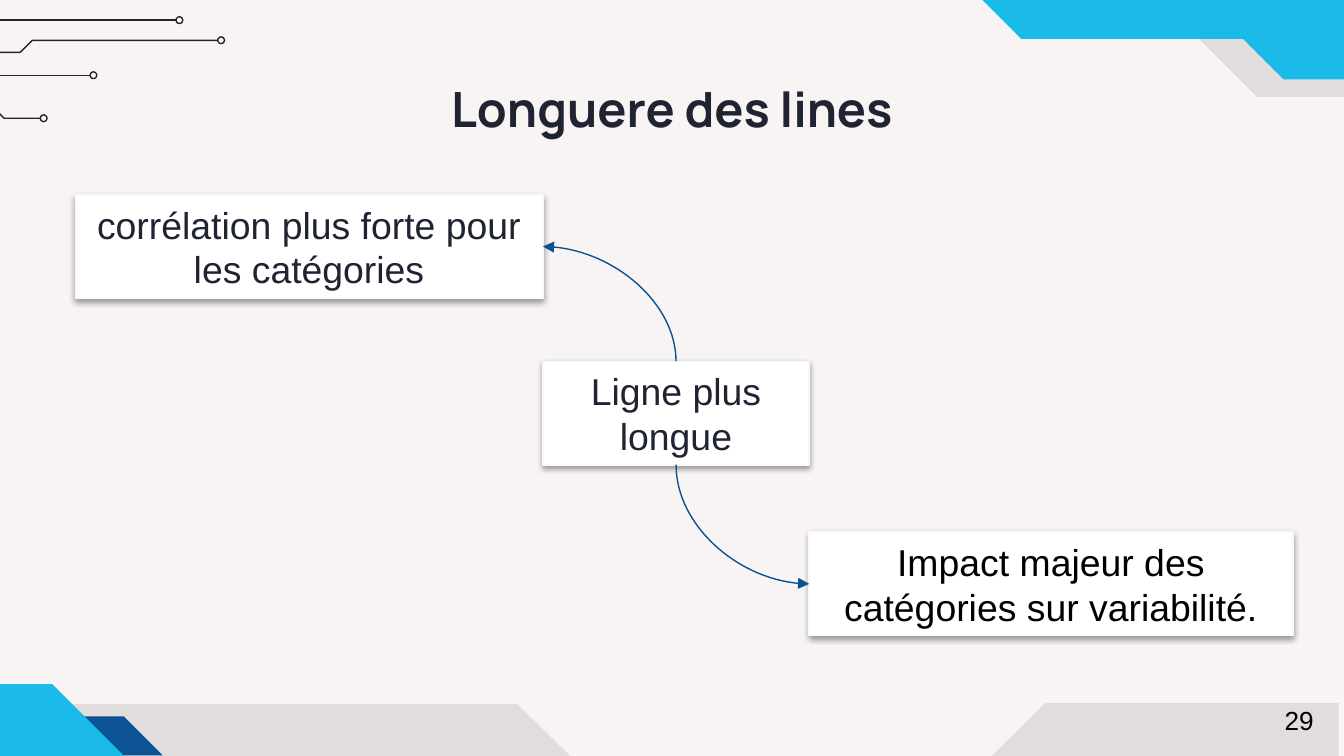
from dataclasses import dataclass

from lxml.etree import SubElement
from pptx import Presentation
from pptx.dml.color import RGBColor
from pptx.enum.shapes import MSO_CONNECTOR, MSO_SHAPE
from pptx.enum.text import MSO_ANCHOR, PP_ALIGN
from pptx.oxml.ns import qn
from pptx.util import Inches, Pt

INK, BLACK, WHITE = "202331", "000000", "FFFFFF"
CYAN, NAVY, ARROW_BLUE = "1BBBE9", "0B5394", "075194"
TOP, RIGHT, BOTTOM, LEFT = 0, 3, 2, 1
NODE_SIZE = 0.05

Points = list[tuple[float, float]]


@dataclass
class Panel:
    points: Points
    color: str
    opacity: int = 100


@dataclass
class Card:
    text: str
    left: float
    top: float
    width: float
    color: str = INK
    height: float = 0.77

    def site(self, side: int) -> tuple[float, float]:
        """Middle of one side of the card."""
        across = {LEFT: 0, RIGHT: 1}.get(side, 0.5)
        down = {TOP: 0, BOTTOM: 1}.get(side, 0.5)
        return self.left + across * self.width, self.top + down * self.height


PANELS = [
    Panel([(9.35, 0.72), (8.23, -0.4), (7.9, -0.4), (7.9, -0.97), (10.97, -0.97),
           (10.97, 0.72)], BLACK, 9),
    Panel([(7.78, 5.23), (6.65, 6.34), (4.97, 6.34), (3.85, 5.24), (-0.28, 5.24),
           (-0.28, 7.3), (9.96, 7.3), (9.96, 5.23)], BLACK, 9),
    Panel([(1.21, 5.62), (0.92, 5.33), (-0.34, 5.33), (-0.05, 5.62)], NAVY),
    Panel([(11.9, 0.59), (11.9, -2.71), (6.31, -2.71), (6.31, -0.29), (7.02, -0.29),
           (7.6, 0.29), (9.25, 0.29), (9.55, 0.59)], CYAN),
    Panel([(0.39, 5.09), (1.51, 6.21), (1.83, 6.21), (1.83, 6.78), (-1.24, 6.78),
           (-1.24, 5.09)], CYAN),
]
TRACES: list[Points] = [
    [(-1, 0.56), (0.67, 0.56)],
    [(-1.36, 0.75), (-0.1, 0.75), (0.03, 0.88), (0.3, 0.88)],
    [(-1.68, 0.39), (0.15, 0.39), (0.24, 0.3), (1.62, 0.3)],
    [(-1.93, 0.15), (1.31, 0.15)],
]
SOURCE = Card("Ligne plus longue", 4.04, 2.69, 1.98)
CORRELATION = Card("corrélation plus forte pour les catégories", 0.56, 1.45, 3.48)
IMPACT = Card("Impact majeur des catégories sur variabilité.", 6.02, 3.96, 3.6, BLACK)


def rgb(color: str) -> RGBColor:
    return RGBColor.from_string(color)


def set_line(shape, color: str) -> None:
    shape.line.color.rgb = rgb(color)
    shape.line.width = Pt(0.75)


def set_fill(shape, color: str) -> None:
    shape.fill.solid()
    shape.fill.fore_color.rgb = rgb(color)


def add_polygon(page, points: Points, close: bool):
    builder = page.shapes.build_freeform(Inches(points[0][0]), Inches(points[0][1]))
    builder.add_line_segments([(Inches(x), Inches(y)) for x, y in points[1:]], close)
    shape = builder.convert_to_shape()
    shape.shadow.inherit = False
    return shape


def add_panel(page, panel: Panel) -> None:
    shape = add_polygon(page, panel.points, True)
    set_fill(shape, panel.color)
    shape.line.fill.background()
    if panel.opacity < 100:
        color = shape._element.spPr.find(qn("a:solidFill"))[0]
        SubElement(color, qn("a:alpha"), val=str(panel.opacity * 1000))


def add_connector(page, kind, start: tuple[float, float], end: tuple[float, float], color: str):
    connector = page.shapes.add_connector(kind, *(Inches(value) for value in (*start, *end)))
    set_line(connector, color)
    SubElement(connector._element.spPr, qn("a:effectLst"))
    return connector


def add_trace(page, points: Points) -> None:
    if len(points) == 2:
        add_connector(page, MSO_CONNECTOR.STRAIGHT, *points, INK)
    else:
        wire = add_polygon(page, points, False)
        wire.fill.background()
        set_line(wire, INK)
    x, y = points[-1]
    node = page.shapes.add_shape(MSO_SHAPE.OVAL, Inches(x), Inches(y - NODE_SIZE / 2),
                                 Inches(NODE_SIZE), Inches(NODE_SIZE))
    node.fill.background()
    set_line(node, INK)
    node.shadow.inherit = False


def write(shape, text: str, size: float, color: str, align, font: str = "Arial",
          bold: bool = False) -> None:
    para = shape.text_frame.paragraphs[0]
    para.alignment = align
    span = para.add_run()
    span.text = text
    span.font.name = font
    span.font.size = Pt(size)
    span.font.bold = bold
    span.font.color.rgb = rgb(color)


def add_card(page, card: Card):
    box = page.shapes.add_shape(MSO_SHAPE.RECTANGLE, Inches(card.left), Inches(card.top),
                                Inches(card.width), Inches(card.height))
    set_fill(box, WHITE)
    set_line(box, "F9F9F9")
    box.shadow.inherit = False
    effects = box._element.spPr.find(qn("a:effectLst"))
    shadow = SubElement(effects, qn("a:outerShdw"), blurRad=str(Pt(3.1)), dist=str(Pt(1.6)),
                        dir="5400000", rotWithShape="0")
    shade = SubElement(shadow, qn("a:srgbClr"), val=BLACK)
    SubElement(shade, qn("a:alpha"), val="38000")
    box.text_frame.word_wrap = True
    box.text_frame.vertical_anchor = MSO_ANCHOR.MIDDLE
    write(box, card.text, 20, card.color, PP_ALIGN.CENTER)
    return box


def add_curve(page, start: Card, start_box, start_side: int,
              end: Card, end_box, end_side: int) -> None:
    """Quarter curve that leaves vertically and arrives horizontally."""
    (x1, y1), (x2, y2) = start.site(start_side), end.site(end_side)
    curve = add_connector(page, MSO_CONNECTOR.CURVE, (x1, y1), (x2, y2), ARROW_BLUE)
    curve.begin_connect(start_box, start_side)
    curve.end_connect(end_box, end_side)
    properties = curve._element.spPr
    properties.find(qn("a:prstGeom")).set("prst", "curvedConnector2")
    SubElement(properties.find(qn("a:ln")), qn("a:tailEnd"), type="triangle")

    # The frame is turned by 270 degrees, so its width and height swap
    width, height = abs(y2 - y1), abs(x2 - x1)
    curve.left = Inches((x1 + x2 - width) / 2)
    curve.top = Inches((y1 + y2 - height) / 2)
    curve.width, curve.height = Inches(width), Inches(height)
    frame = properties.find(qn("a:xfrm"))
    frame.set("rot", str(270 * 60000))
    frame.set("flipH", str(int(y2 > y1)))
    frame.set("flipV", str(int(x2 < x1)))


def main() -> None:
    # Widescreen page, 16 to 9
    deck = Presentation()
    deck.slide_width = Inches(10)
    deck.slide_height = Inches(10 * 9 / 16)
    page = deck.slides.add_slide(deck.slide_layouts[6])
    page.background.fill.solid()
    page.background.fill.fore_color.rgb = rgb("F8F4F4")

    # Corner panels and circuit traces
    for panel in PANELS:
        add_panel(page, panel)
    for trace in TRACES:
        add_trace(page, trace)

    # Title
    title = page.shapes.add_textbox(Inches(0.79), Inches(0.49), Inches(8.42), Inches(0.63))
    title.text_frame.word_wrap = True
    title.text_frame.vertical_anchor = MSO_ANCHOR.MIDDLE
    title.text_frame.margin_top = title.text_frame.margin_bottom = Inches(0.1)
    write(title, "Longuere des lines", 26, INK, PP_ALIGN.CENTER, "Manrope", True)

    # Cards and the curves between them
    source_box, correlation_box, impact_box = (
        add_card(page, card) for card in (SOURCE, CORRELATION, IMPACT))
    add_curve(page, SOURCE, source_box, TOP, CORRELATION, correlation_box, RIGHT)
    add_curve(page, SOURCE, source_box, BOTTOM, IMPACT, impact_box, LEFT)

    # Page number
    number = page.shapes.add_textbox(Inches(9.46), Inches(5.19), Inches(0.42), Inches(0.34))
    number.text_frame.word_wrap = False
    write(number, "29", 14, BLACK, PP_ALIGN.LEFT)

    deck.save("out.pptx")


if __name__ == "__main__":
    main()
